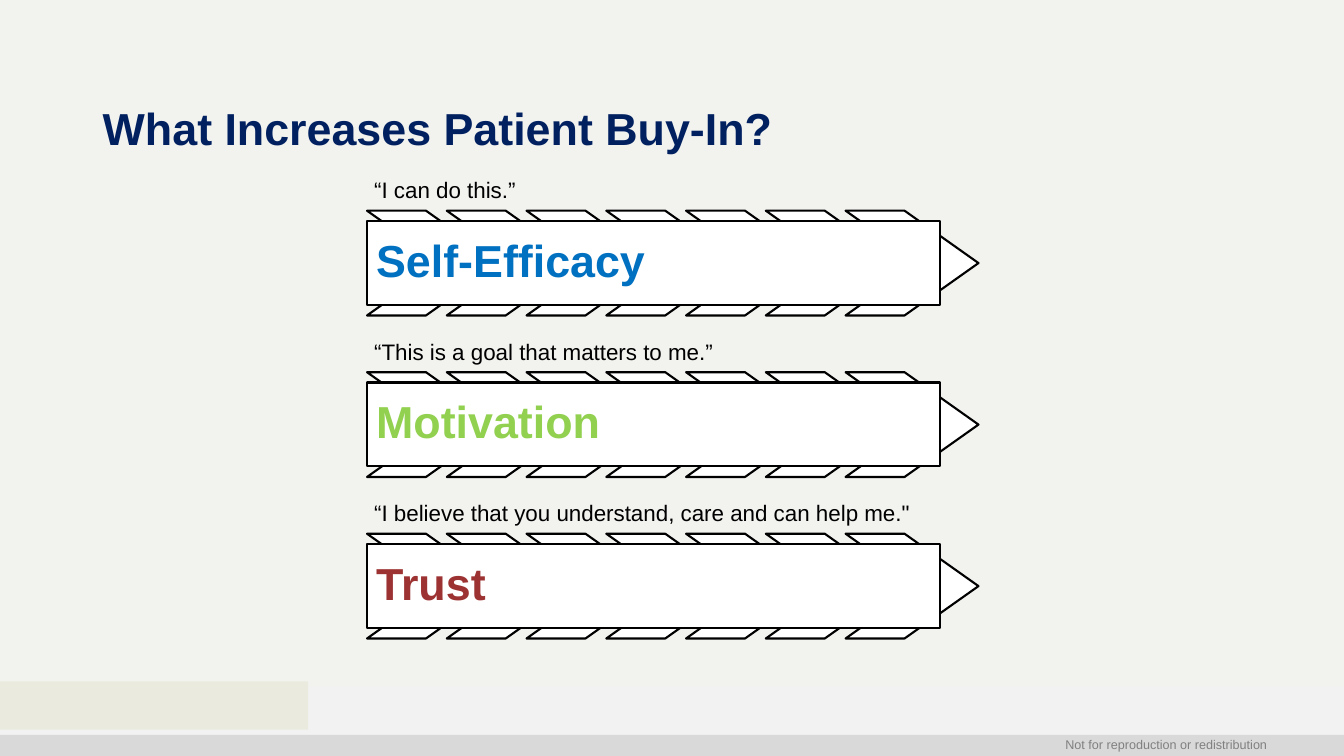
from pptx import Presentation
from pptx import util as u
from pptx.dml.color import RGBColor
from pptx.enum import shapes, text

BACKGROUND = RGBColor(0xF2, 0xF2, 0xEF)
BAND = RGBColor(0xF2, 0xF2, 0xF2)
FOOTER = RGBColor(0xD9, 0xD9, 0xD9)
BEIGE = RGBColor(0xEA, 0xEB, 0xDE)
GRAY = RGBColor(0x80, 0x80, 0x80)
NAVY = RGBColor(0x00, 0x20, 0x60)
BLUE = RGBColor(0x00, 0x70, 0xC0)
GREEN = RGBColor(0x92, 0xD0, 0x50)
RED = RGBColor(0x9D, 0x32, 0x32)
BLACK = RGBColor(0x00, 0x00, 0x00)
WHITE = RGBColor(0xFF, 0xFF, 0xFF)

WIDTH, HEIGHT = 33.87, 19.05
DRIVERS = [
    ("“I can do this.”", "Self-Efficacy", BLUE),
    ("“This is a goal that matters to me.”", "Motivation", GREEN),
    ("“I believe that you understand, care and can help me.\"", "Trust", RED),
]
ROW_LEFT, ROW_TOP, ROW_PITCH = 9.25, 4.01, 4.07
CHEVRONS, CHEVRON_PITCH = 7, 2.01


class SlideBuilder:
    font = "Arial"
    line_width = u.Pt(1.5)

    def __init__(self, slide):
        self.slide = slide
        fill = slide.background.fill
        fill.solid()
        fill.fore_color.rgb = BACKGROUND

    def shape(self, kind, left, top, width, height, fill, line=None):
        shape = self.slide.shapes.add_shape(
            kind, u.Cm(left), u.Cm(top), u.Cm(width), u.Cm(height))
        shape.shadow.inherit = False
        shape.fill.solid()
        shape.fill.fore_color.rgb = fill
        if line is None:
            shape.line.fill.background()
        else:
            shape.line.color.rgb = line
            shape.line.width = self.line_width
        return shape

    def rectangle(self, left, top, width, height, fill, line=None):
        return self.shape(shapes.MSO_SHAPE.RECTANGLE,
                          left, top, width, height, fill, line)

    def chevron(self, left, top):
        chevron = self.shape(shapes.MSO_SHAPE.CHEVRON,
                             left, top, 3.35, 2.64, WHITE, BLACK)
        chevron.adjustments[0] = 0.706

    def set_text(self, frame, words, size, color, bold=False, inset=None,
                 anchor=text.MSO_ANCHOR.BOTTOM, align=text.PP_ALIGN.LEFT,
                 spacing=1.0):
        frame.word_wrap = True
        frame.vertical_anchor = anchor
        if inset is not None:
            frame.margin_left = frame.margin_right = u.Cm(inset)
            frame.margin_top = frame.margin_bottom = u.Cm(inset)
        para = frame.paragraphs[0]
        para.alignment = align
        para.line_spacing = spacing
        span = para.add_run()
        span.text = words
        span.font.name = self.font
        span.font.size = u.Pt(size)
        span.font.bold = bold
        span.font.color.rgb = color

    def text_box(self, left, top, width, height, words, size, color, **style):
        box = self.slide.shapes.add_textbox(
            u.Cm(left), u.Cm(top), u.Cm(width), u.Cm(height))
        self.set_text(box.text_frame, words, size, color, **style)

    def driver(self, top, quote, name, color):
        """Draw a quote above a labelled bar that lies on a chevron row."""
        self.text_box(ROW_LEFT, top, 14.27, 1.3, quote, 16, BLACK,
                      inset=0.18, spacing=0.9)
        for index in range(CHEVRONS):
            self.chevron(ROW_LEFT + index * CHEVRON_PITCH, top + 1.3)
        bar = self.rectangle(ROW_LEFT, top + 1.56, 14.45, 2.11, WHITE, BLACK)
        self.set_text(bar.text_frame, name, 32, color, bold=True, inset=0.23,
                      anchor=text.MSO_ANCHOR.MIDDLE, spacing=0.9)


def main():
    deck = Presentation()
    deck.slide_width, deck.slide_height = u.Cm(WIDTH), u.Cm(HEIGHT)
    page = SlideBuilder(deck.slides.add_slide(deck.slide_layouts[6]))

    page.rectangle(0, 17.3, WIDTH, 1.75, BAND)
    page.rectangle(0, 18.52, WIDTH, 0.53, FOOTER)
    page.text_box(2.26, 18.44, 29.92, 0.51,
                  "Not for reproduction or redistribution", 9, GRAY,
                  anchor=text.MSO_ANCHOR.TOP, align=text.PP_ALIGN.RIGHT)
    page.text_box(2.34, 0.33, 29.21, 3.68,
                  "What Increases Patient Buy-In?", 32, NAVY, bold=True)
    for row, (quote, name, color) in enumerate(DRIVERS):
        page.driver(ROW_TOP + row * ROW_PITCH, quote, name, color)
    page.rectangle(0, 17.17, 7.77, 1.22, BEIGE)

    deck.save("out.pptx")


if __name__ == "__main__":
    main()
